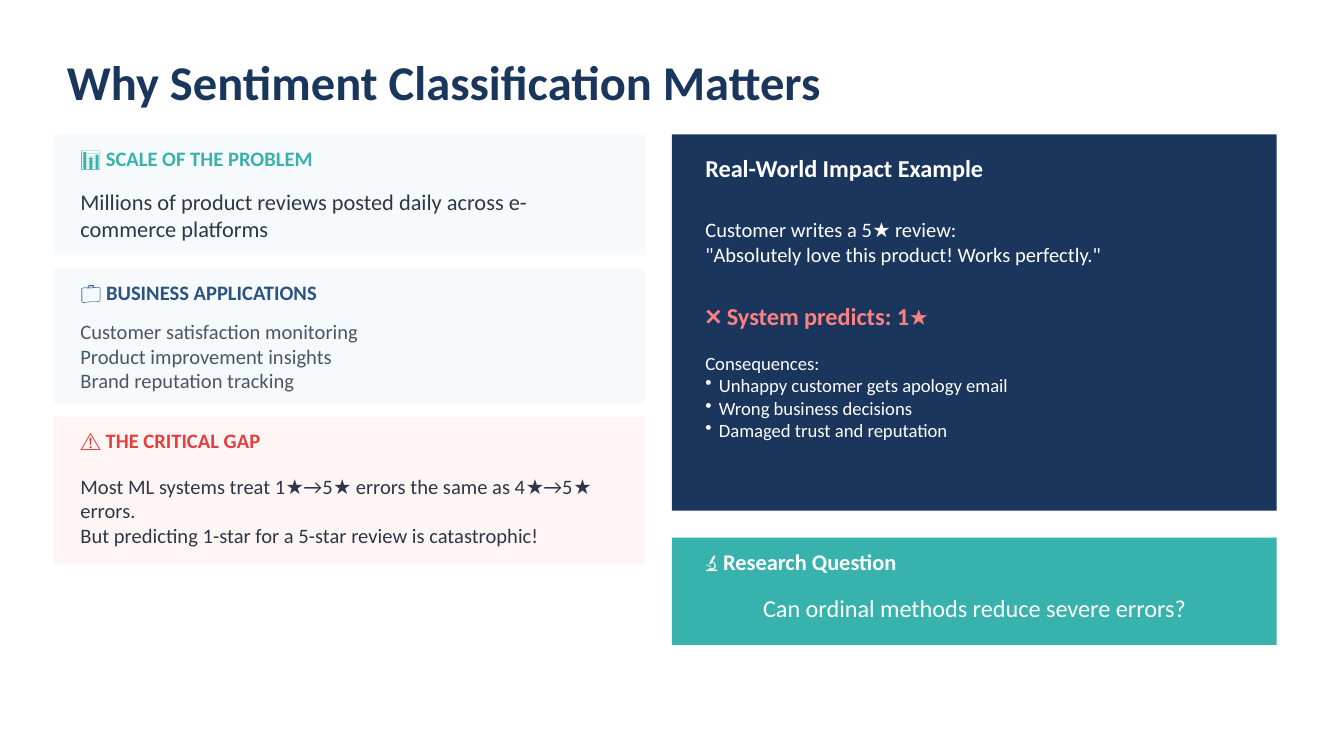
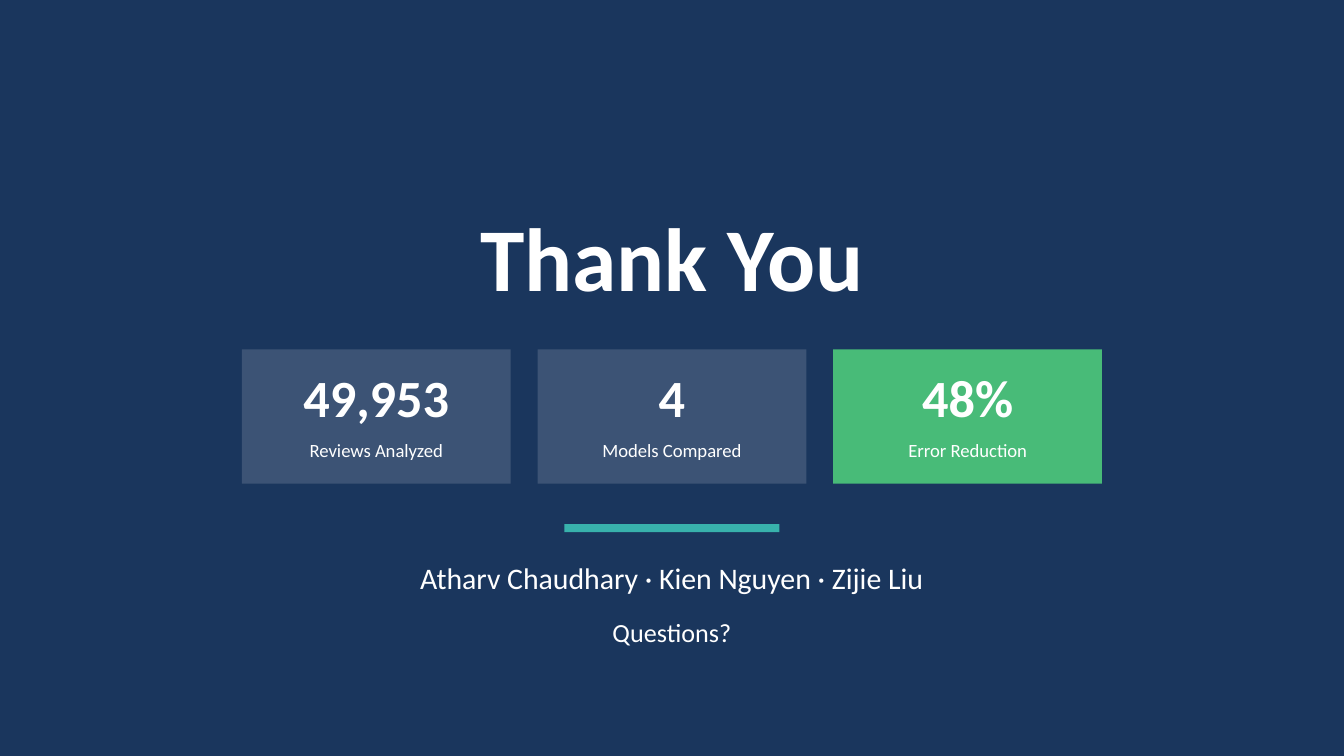
"""Builds two slides: why sentiment classification matters, and the closing slide."""
import pptx
import pptx.dml.color
import pptx.enum.shapes
import pptx.enum.text
import pptx.oxml
import pptx.oxml.ns
import pptx.util

FONT = "Calibri"
NAVY, TEAL, GREEN, WHITE = "1A365D", "38B2AC", "48BB78", "FFFFFF"
BLUE, RED, CORAL = "2C5282", "E53E3E", "FC8181"
INK, SLATE, PALE, BLUSH = "2D3748", "4A5568", "F7FAFC", "FFF5F5"

TITLE = "Why Sentiment Classification Matters"
CARDS = [
    {"height": 64.8, "fill": PALE, "heading": "📊 SCALE OF THE PROBLEM", "accent": TEAL,
     "lines": ["Millions of product reviews posted daily across e-commerce platforms"],
     "size": 12, "color": INK},
    {"height": 72, "fill": PALE, "heading": "💼 BUSINESS APPLICATIONS", "accent": BLUE,
     "lines": ["Customer satisfaction monitoring", "Product improvement insights",
               "Brand reputation tracking"],
     "size": 11, "color": SLATE},
    {"height": 79.2, "fill": BLUSH, "heading": "⚠️ THE CRITICAL GAP", "accent": RED,
     "lines": ["Most ML systems treat 1★→5★ errors the same as 4★→5★ errors.",
               "But predicting 1-star for a 5-star review is catastrophic!"],
     "size": 11, "color": INK},
]
PANELS = [(72, 201.6, NAVY), (288, 57.6, TEAL)]
PANEL_TEXTS = [
    (79.2, 21.6, ["Real-World Impact Example"], {"size": 13, "bold": True}),
    (108, 43.2, ["Customer writes a 5★ review:",
                 '"Absolutely love this product! Works perfectly."'], {"size": 11}),
    (158.4, 21.6, ["❌ System predicts: 1★"], {"size": 13, "color": CORAL, "bold": True}),
    (183.6, 57.6, ["Consequences:", "• Unhappy customer gets apology email",
                   "• Wrong business decisions", "• Damaged trust and reputation"], {"size": 10}),
    (291.6, 18, ["🔬 Research Question"], {"size": 12, "bold": True}),
    (313.2, 25.2, ["Can ordinal methods reduce severe errors?"], {"size": 13, "centered": True}),
]
STATISTICS = [
    ("49,953", "Reviews Analyzed", WHITE, 15),
    ("4", "Models Compared", WHITE, 15),
    ("48%", "Error Reduction", GREEN, 100),
]
CLOSING_TEXTS = [
    (108, 57.6, "Thank You", {"size": 48, "bold": True}),
    (295.2, 28.8, "Atharv Chaudhary · Kien Nguyen · Zijie Liu", {"size": 16}),
    (327.6, 21.6, "Questions?", {"size": 14}),
]


def rgb(color):
    return pptx.dml.color.RGBColor.from_string(color)


def points(*values):
    return [pptx.util.Pt(value) for value in values]


def add_slide(presentation, color):
    slide = presentation.slides.add_slide(presentation.slide_layouts[6])
    slide.background.fill.solid()
    slide.background.fill.fore_color.rgb = rgb(color)
    return slide


def add_box(slide, left, top, width, height, color, opacity=100):
    shape = slide.shapes.add_shape(
        pptx.enum.shapes.MSO_SHAPE.RECTANGLE, *points(left, top, width, height))
    shape.shadow.inherit = False
    shape.line.fill.background()
    shape.fill.solid()
    shape.fill.fore_color.rgb = rgb(color)
    if opacity < 100:
        color_element = shape._element.spPr.find(".//" + pptx.oxml.ns.qn("a:srgbClr"))
        alpha = pptx.oxml.parse_xml(
            f'<a:alpha {pptx.oxml.ns.nsdecls("a")} val="{opacity * 1000}"/>')
        color_element.append(alpha)


def set_bullet(paragraph):
    properties = paragraph._p.get_or_add_pPr()
    properties.set("marL", str(pptx.util.Pt(7.3)))
    properties.set("indent", str(pptx.util.Pt(-7.3)))
    properties.append(pptx.oxml.parse_xml(
        f'<a:buChar {pptx.oxml.ns.nsdecls("a")} char="•"/>'))


def add_text(slide, left, top, width, height, lines, size, color=WHITE,
             bold=False, centered=False):
    frame = slide.shapes.add_textbox(*points(left, top, width, height)).text_frame
    frame.word_wrap = True
    frame.vertical_anchor = pptx.enum.text.MSO_ANCHOR.MIDDLE
    font_format = {"name": FONT, "size": pptx.util.Pt(size), "bold": bold}
    for index, line in enumerate(lines):
        paragraph = frame.add_paragraph() if index else frame.paragraphs[0]
        if centered:
            paragraph.alignment = pptx.enum.text.PP_ALIGN.CENTER
        if line.startswith("• "):
            set_bullet(paragraph)
        run = paragraph.add_run()
        run.text = line.removeprefix("• ")
        for name, value in font_format.items():
            setattr(run.font, name, value)
        run.font.color.rgb = rgb(color)


def build_motivation(presentation):
    slide = add_slide(presentation, WHITE)
    add_text(slide, 28.8, 21.6, 662.4, 43.2, [TITLE], 26, NAVY, bold=True)
    top, gap = 72, 7.2
    for card in CARDS:
        height = card["height"]
        add_box(slide, 28.8, top, 316.8, height, card["fill"])
        add_text(slide, 36, top + 3.6, 302.4, 18, [card["heading"]], 11, card["accent"], bold=True)
        add_text(slide, 36, top + 25.2, 302.4, height - 28.8,
                 card["lines"], card["size"], card["color"])
        top += height + gap
    for panel_top, height, color in PANELS:
        add_box(slide, 360, panel_top, 324, height, color)
    for text_top, height, lines, style in PANEL_TEXTS:
        add_text(slide, 370.8, text_top, 302.4, height, lines, **style)


def build_closing(presentation):
    slide = add_slide(presentation, NAVY)
    width, gap, top, padding = 144, 14.4, 187.2, 7.2
    first_left = (720 - len(STATISTICS) * width - (len(STATISTICS) - 1) * gap) / 2
    for index, (value, label, color, opacity) in enumerate(STATISTICS):
        left = first_left + index * (width + gap)
        add_box(slide, left, top, width, 72, color, opacity)
        add_text(slide, left + padding, top + padding, width - 2 * padding, 36,
                 [value], 28, bold=True, centered=True)
        add_text(slide, left + padding, top + 43.2, width - 2 * padding, 21.6,
                 [label], 10, centered=True)
    add_box(slide, 302.4, 280.8, 115.2, 4.32, TEAL)
    for text_top, height, line, style in CLOSING_TEXTS:
        add_text(slide, 36, text_top, 648, height, [line], centered=True, **style)


def main():
    presentation = pptx.Presentation()
    presentation.slide_width, presentation.slide_height = points(720, 405)
    build_motivation(presentation)
    build_closing(presentation)
    presentation.save("out.pptx")


if __name__ == "__main__":
    main()
